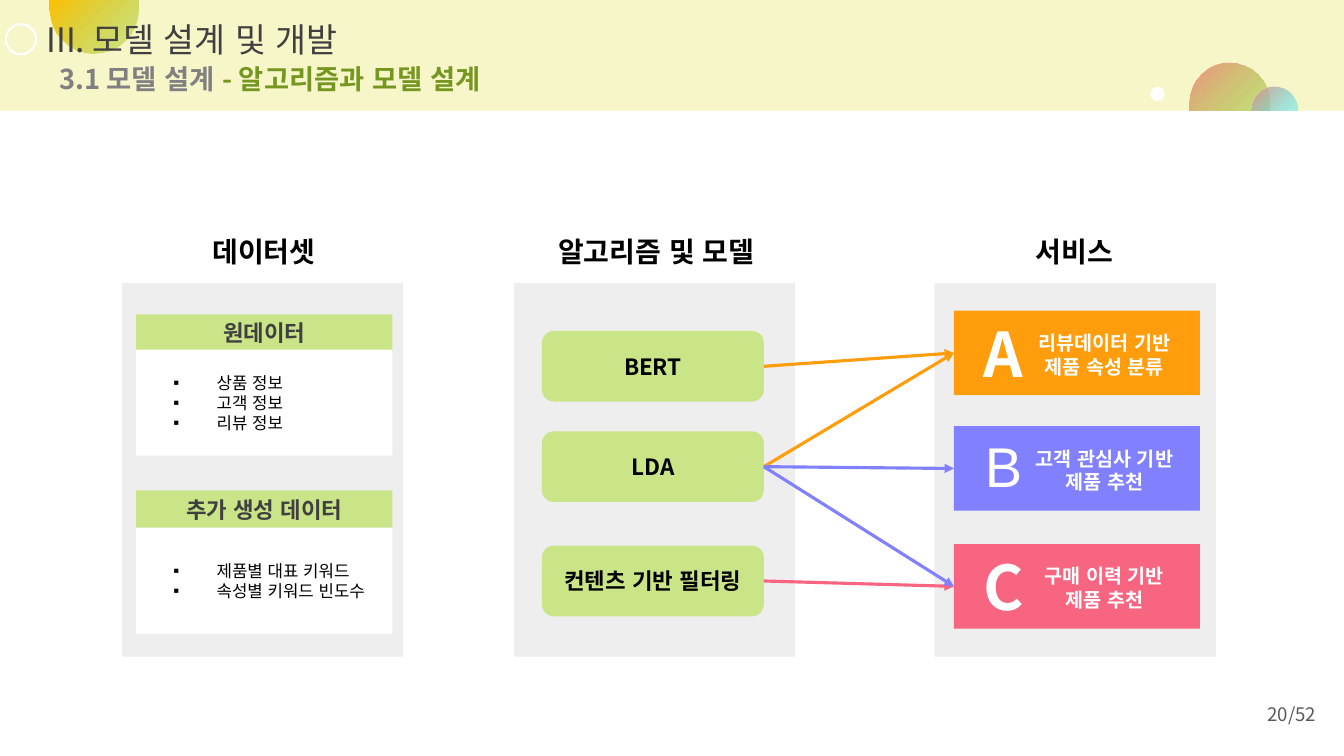
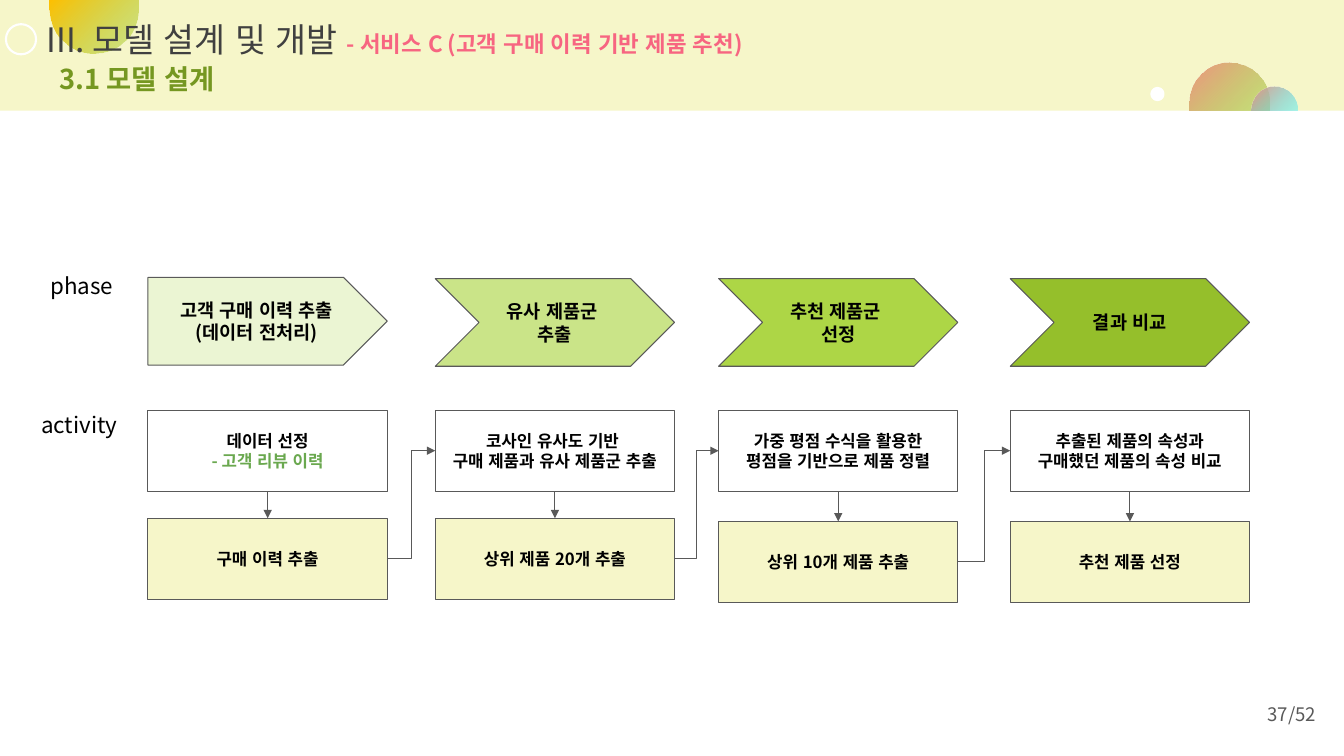
from lxml import etree
from pptx import Presentation
from pptx.dml.color import RGBColor
from pptx.enum.lang import MSO_LANGUAGE_ID as LANGUAGE
from pptx.enum.shapes import MSO_CONNECTOR as LINK, MSO_SHAPE as SHAPE
from pptx.enum.text import MSO_ANCHOR as ANCHOR, PP_ALIGN as ALIGN
from pptx.oxml.ns import qn
from pptx.util import Cm, Pt

COLORS = {
    "band": "F6F6C9", "white": "FFFFFF", "black": "000000", "panel": "EEEEEE",
    "title": "404040", "muted": "808080", "olive": "759721", "outline": "595959",
    "pale": "EBF5D3", "light": "CAE488", "lime": "ADD646", "green": "95BF2B",
    "note": "6AA84F", "orange": "FF9D0D", "violet": "8181FF", "pink": "F76581",
    "amber": "FFC000", "leaf": "9ACD32", "coral": "F19182", "aqua": "31EAFE",
}
RGB = {name: RGBColor.from_string(value) for name, value in COLORS.items()}
FONT = "Noto Sans CJK KR"
BAND_HEIGHT = 2.79
ARC = 0.55


def add_box(slide, kind, place, lines=(), size=12, color="black", bold=True, fill=None,
            line=None, weight=0.75, align=ALIGN.CENTER, anchor=ANCHOR.MIDDLE,
            inset=0.33, font=FONT):
    place = [Cm(length) for length in place]
    if kind is None:
        box = slide.shapes.add_textbox(*place)
    else:
        box = slide.shapes.add_shape(kind, *place)
        box.shadow.inherit = False
        if fill:
            box.fill.solid()
            box.fill.fore_color.rgb = RGB[fill]
        else:
            box.fill.background()
        if line:
            box.line.color.rgb = RGB[line]
            box.line.width = Pt(weight)
        else:
            box.line.fill.background()
    frame = box.text_frame
    frame.word_wrap = True
    frame.vertical_anchor = anchor
    frame.margin_left = frame.margin_right = Cm(inset)
    frame.margin_top = frame.margin_bottom = Cm(inset)
    for index, text in enumerate(lines):
        paragraph = frame.add_paragraph() if index else frame.paragraphs[0]
        run = paragraph.add_run()
        run.text = text.removeprefix("▪")
        run.font.language_id = LANGUAGE.KOREAN
        paragraph.alignment = align
        if text.startswith("▪"):
            properties = paragraph._p.get_or_add_pPr()
            properties.set("marL", str(Cm(1.7)))
            properties.set("indent", str(Cm(-1.09)))
            bullet_color = etree.SubElement(properties, qn("a:buClr"))
            etree.SubElement(bullet_color, qn("a:srgbClr"), val=COLORS[color])
            etree.SubElement(properties, qn("a:buFont"), typeface="Arial")
            etree.SubElement(properties, qn("a:buChar"), char="▪")
        paragraph.font.name = font
        paragraph.font.size = Pt(size)
        paragraph.font.bold = bold
        paragraph.font.color.rgb = RGB[color]
    return box


def add_arrow(slide, kind, start, start_side, end, end_side, color, weight):
    arrow = slide.shapes.add_connector(kind, 0, 0, 0, 0)
    arrow.begin_connect(start, start_side)
    arrow.end_connect(end, end_side)
    arrow.line.color.rgb = RGB[color]
    arrow.line.width = Pt(weight)
    etree.SubElement(arrow.line._get_or_add_ln(), qn("a:tailEnd"), type="triangle")
    etree.SubElement(arrow.element.spPr, qn("a:effectLst"))


deck = Presentation()
deck.slide_width, deck.slide_height = Cm(33.87), Cm(19.05)
blank = deck.slide_layouts[6]
for placeholder in list(blank.placeholders):
    blank.shapes.element.remove(placeholder.element)
overview, service_flow = [deck.slides.add_slide(blank) for _ in range(2)]

decorations = [
    add_box(overview, SHAPE.RECTANGLE, (0, 0, 33.87, BAND_HEIGHT), fill="band"),
    add_box(overview, SHAPE.OVAL, (0.15, 0.61, 0.76, 0.76), line="white", weight=1.5),
]
for x, y, radius, rise, edge, stops, angle in [
    (2.37, 0.23, 1.11, 1.11, 0, [("amber", 100), ("leaf", 40)], 315),
    (30.98, 2.58, 1.0, -1.0, BAND_HEIGHT, [("leaf", 50), ("coral", 100)], 135),
    (32.13, 2.77, 0.58, -0.58, BAND_HEIGHT, [("aqua", 40), ("coral", 100)], 135),
]:
    rim = [
        (x - radius, y), (x - radius, y + ARC * rise), (x - ARC * radius, y + rise),
        (x, y + rise), (x + ARC * radius, y + rise), (x + radius, y + ARC * rise),
        (x + radius, y), (x + radius, edge), (x - radius, edge),
    ]
    rim = [(Cm(across), Cm(down)) for across, down in rim]
    outline = overview.shapes.build_freeform(*rim[0])
    outline.add_line_segments(rim[1:], close=True)
    dome = outline.convert_to_shape()
    segments = list(dome.element.spPr.iter(qn("a:lnTo")))
    for first in (0, 3):
        curve = etree.Element(qn("a:cubicBezTo"))
        segments[first].addprevious(curve)
        for segment in segments[first:first + 3]:
            curve.append(segment[0])
            segment.getparent().remove(segment)
    dome.shadow.inherit = False
    dome.line.fill.background()
    dome.fill.gradient()
    dome.fill.gradient_angle = angle
    for stop, (color, _) in zip(dome.fill.gradient_stops, stops):
        stop.color.rgb = RGB[color]
    stop_colors = dome.element.spPr.findall(".//" + qn("a:gs") + "/" + qn("a:srgbClr"))
    for stop_color, (_, opacity) in zip(stop_colors, stops):
        if opacity < 100:
            etree.SubElement(stop_color, qn("a:alpha"), val=str(opacity * 1000))
    decorations.append(dome)
decorations.append(add_box(overview, SHAPE.OVAL, (29.07, 2.27, 0.2, 0.2),
                           fill="white", line="white", weight=4.5))
for decoration in decorations:
    blank.shapes.element.append(decoration.element)

for slide, chapter_text, chapter_extra, section_text, section_color, section_extra, page in [
    (overview, "III. 모델 설계 및 개발", "", "3.1 모델 설계 ", "muted",
     "- 알고리즘과 모델 설계", "20/52"),
    (service_flow, "III. 모델 설계 및 개발 ", "- 서비스 C (고객 구매 이력 기반 제품 추천)",
     "3.1 모델 설계", "olive", "", "37/52"),
]:
    chapter = add_box(slide, None, (0.84, 0.15, 21, 1.63), [chapter_text], 24,
                      "title", False, align=ALIGN.LEFT, anchor=ANCHOR.TOP)
    section = add_box(slide, None, (1.16, 1.24, 25.2, 1.24), [section_text], 19.5,
                      section_color, align=ALIGN.LEFT, anchor=ANCHOR.TOP)
    for heading, extra, size, color in [(chapter, chapter_extra, 16, "pink"),
                                        (section, section_extra, 19.5, "olive")]:
        if extra:
            run = heading.text_frame.paragraphs[0].add_run()
            run.text = extra
            run.font.language_id = LANGUAGE.KOREAN
            run.font.name = FONT
            run.font.size = Pt(size)
            run.font.bold = True
            run.font.color.rgb = RGB[color]
    add_box(slide, None, (30.96, 17.27, 2.46, 1.45), [page], 13.3, "outline", False,
            align=ALIGN.RIGHT, inset=0.25)

for left, heading_left, heading_width, heading in [
    (3.07, 4.52, 4.27, "데이터셋"),
    (12.95, 13.44, 6.2, "알고리즘 및 모델"),
    (23.55, 23.98, 6.2, "서비스"),
]:
    add_box(overview, None, (heading_left, 5.59, heading_width, 1.55), [heading], 20,
            anchor=ANCHOR.TOP)
    add_box(overview, SHAPE.RECTANGLE, (left, 7.13, 7.09, 9.42), fill="panel")

for header_top, body_top, heading, items in [
    (7.92, 8.81, "원데이터", ["▪상품 정보", "▪고객 정보", "▪리뷰 정보"]),
    (12.36, 13.3, "추가 생성 데이터", ["▪제품별 대표 키워드", "▪속성별 키워드 빈도수"]),
]:
    add_box(overview, SHAPE.RECTANGLE, (3.43, header_top, 6.46, 0.94), [heading], 16,
            "title", fill="light")
    add_box(overview, SHAPE.RECTANGLE, (3.43, body_top, 6.46, 2.67), items, bold=False,
            fill="white", align=ALIGN.LEFT)

bert, lda, filtering = [
    add_box(overview, SHAPE.ROUNDED_RECTANGLE, (13.66, top, 5.59, 1.78), [label], 16,
            fill="light")
    for top, label in [(8.34, "BERT"), (10.87, "LDA"), (13.75, "컨텐츠 기반 필터링")]
]

services = []
for top, color, letter, size, bold, font, letter_height, lines in [
    (7.83, "orange", "A", 44, True, FONT, 2.13, ["리뷰데이터 기반 제품 속성 분류"]),
    (10.74, "violet", "B", 40, False, "Arial", 1.96, ["고객 관심사 기반", "제품 추천"]),
    (13.71, "pink", "C", 44, True, FONT, 2.13, ["구매 이력 기반", "제품 추천"]),
]:
    services.append(add_box(overview, SHAPE.RECTANGLE, (24.04, top, 6.2, 2.13), fill=color))
    add_box(overview, None, (24.64, top, 1.3, letter_height), [letter], size, "white", bold,
            inset=0, font=font)
    add_box(overview, None, (25.5, top + 0.04, 4.67, 2.13), lines, 14, "white", inset=0.25)

service_a, service_b, service_c = services
for model, service, color in [
    (bert, service_a, "orange"), (lda, service_a, "orange"), (lda, service_b, "violet"),
    (filtering, service_c, "pink"), (lda, service_c, "violet"),
]:
    add_arrow(overview, LINK.STRAIGHT, model, 3, service, 1, color, 2.25)

for place, label in [((0.94, 6.53, 2.57, 1.35), "phase"), ((0.71, 10.02, 2.82, 1.35), "activity")]:
    add_box(service_flow, None, place, [label], 16, bold=False, align=ALIGN.LEFT,
            anchor=ANCHOR.TOP)

previous_result = None
for left, kind, phase_top, color, phase, activity, result_top, result in [
    (3.73, SHAPE.PENTAGON, 6.99, "pale", ["고객 구매 이력 추출", "(데이터 전처리)"],
     ["데이터 선정", "- 고객 리뷰 이력"], 13.06, "구매 이력 추출"),
    (10.97, SHAPE.CHEVRON, 7.02, "light", ["유사 제품군 ", "추출"],
     ["코사인 유사도 기반 ", "구매 제품과 유사 제품군 추출"], 13.06, "상위 제품 20개 추출"),
    (18.11, SHAPE.CHEVRON, 7.02, "lime", ["추천 제품군 ", "선정"],
     ["가중 평점 수식을 활용한", "평점을 기반으로 제품 정렬"], 13.14, "상위 10개 제품 추출"),
    (25.46, SHAPE.CHEVRON, 7.02, "green", ["결과 비교"],
     ["추출된 제품의 속성과", "구매했던 제품의 속성 비교"], 13.14, "추천 제품 선정"),
]:
    add_box(service_flow, kind, (left, phase_top, 6.03, 2.21), phase, 13.3, fill=color,
            line="outline")
    activity_box = add_box(service_flow, SHAPE.RECTANGLE, (left, 10.34, 6.03, 2.04), activity,
                           fill="white", line="outline")
    result_box = add_box(service_flow, SHAPE.RECTANGLE, (left, result_top, 6.03, 2.04),
                         [result], fill="band", line="outline")
    add_arrow(service_flow, LINK.STRAIGHT, activity_box, 2, result_box, 0, "outline", 0.75)
    if previous_result:
        add_arrow(service_flow, LINK.ELBOW, previous_result, 3, activity_box, 1, "outline", 0.75)
    else:
        activity_box.text_frame.paragraphs[1].font.color.rgb = RGB["note"]
    previous_result = result_box

for slide in deck.slides:
    for latin in list(slide.element.iter(qn("a:latin"))):
        latin.addnext(etree.Element(qn("a:ea"), typeface=latin.get("typeface")))

deck.save("out.pptx")
